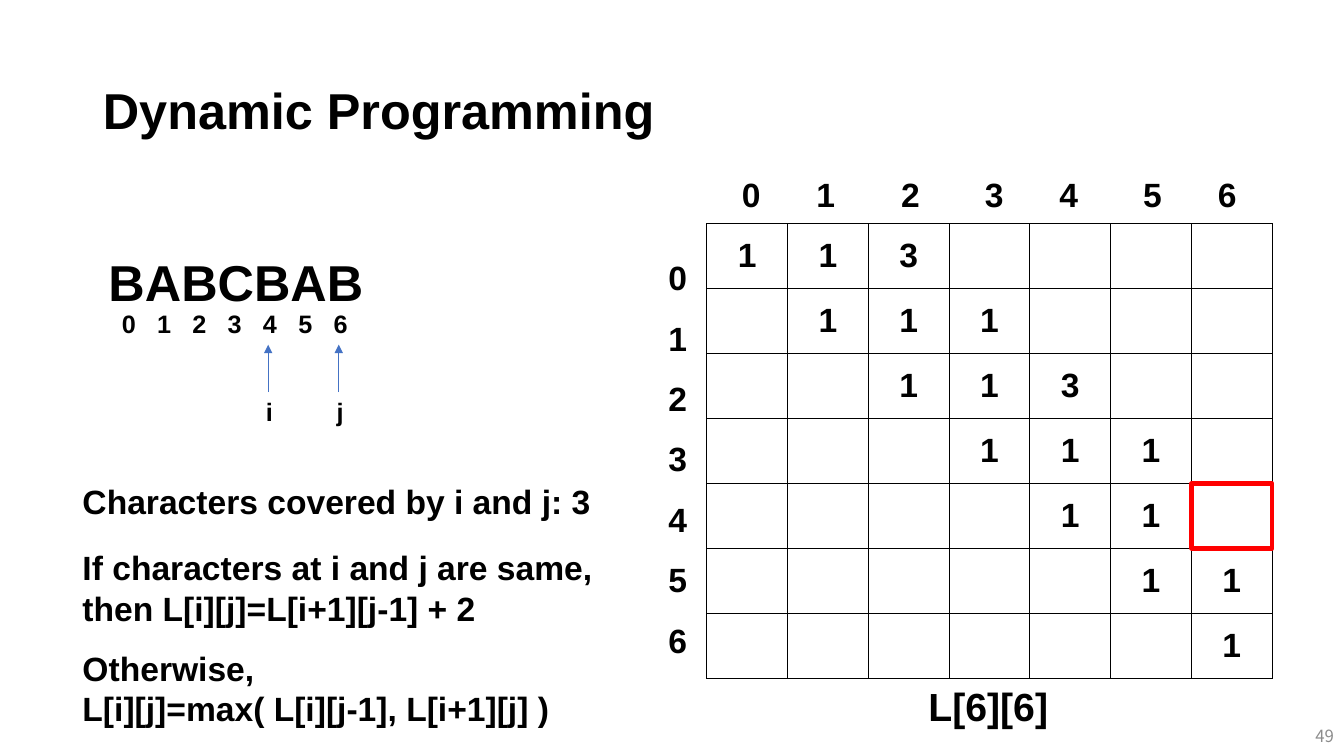
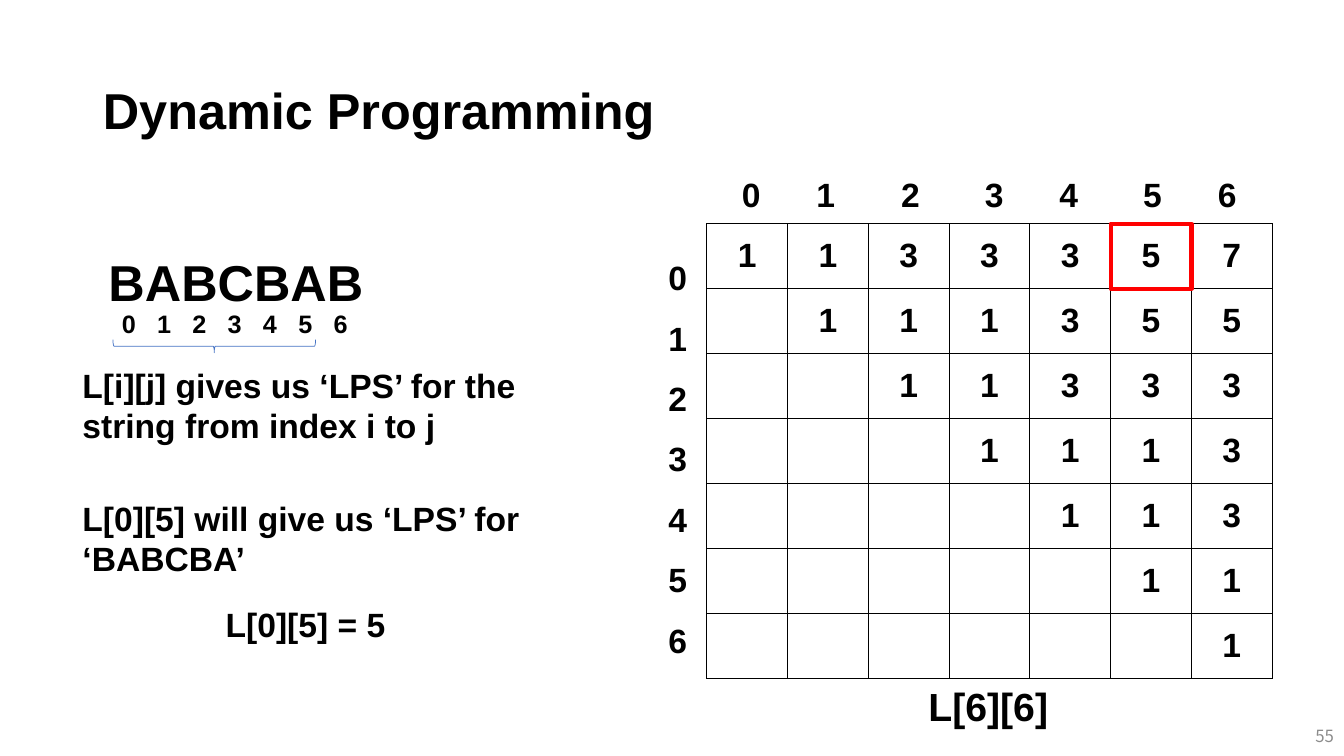
from lxml import etree
from pptx import Presentation
from pptx.dml.color import RGBColor
from pptx.enum import shapes, text
from pptx.oxml import ns
from pptx.util import Inches, Pt

BLACK, GRAY, BLUE, RED = "000000", "8C8C8C", "4472C4", "FF0000"
FONT, NUMBER_FONT = "Arial", "Noto Sans CJK KR"
SIZE = 7
GRID_X, GRID_Y = 7.01, 2.22
CELL_W, CELL_H = 5.61 / SIZE, 4.51 / SIZE
INDEX_STEP = 0.35
COLUMN_TABS = [0.74, 1.58, 2.41, 3.15, 3.98, 4.72]
INDEXES = [str(n) for n in range(SIZE)]
NOTE_X, NOTE_W = 0.72, 5.27

PARTIAL_LENGTHS = [[1, 1, 3], [1, 1, 1], [1, 1, 3], [1, 1, 1], [1, 1], [1, 1], [1]]
FULL_LENGTHS = [[1, 1, 3, 3, 3, 5, 7], [1, 1, 1, 3, 5, 5], [1, 1, 3, 3, 3],
                [1, 1, 1, 3], [1, 1, 3], [1, 1], [1]]


def rgb(value):
    """Turn a hex string into a colour."""
    return RGBColor.from_string(value)


def box(left, top, width, height):
    """Turn four numbers into lengths in inches."""
    return [Inches(n) for n in (left, top, width, height)]


def add_xml(parent, tag, **attributes):
    """Append a drawing element to a parent and return it."""
    return etree.SubElement(parent, ns.qn(tag), attributes)


def style(paragraph, size, align="LEFT", spacing=None, name=FONT, color=BLACK, bold=True):
    """Format a whole paragraph."""
    paragraph.alignment = getattr(text.PP_ALIGN, align)
    if spacing:
        paragraph.line_spacing = spacing
    font = paragraph.font
    font.name, font.size, font.bold = name, Pt(size), bold
    font.color.rgb = rgb(color)


def add_text(slide, place, lines, size, tabs=(), anchor="TOP", **look):
    """Add a text box with one paragraph per line."""
    frame = slide.shapes.add_textbox(*box(*place)).text_frame
    frame.word_wrap = True
    frame.vertical_anchor = getattr(text.MSO_ANCHOR, anchor)
    for number, line in enumerate(lines):
        paragraph = frame.add_paragraph() if number else frame.paragraphs[0]
        paragraph.text = line
        if tabs:
            stops = add_xml(paragraph._p.get_or_add_pPr(), "a:tabLst")
            for stop in tabs:
                add_xml(stops, "a:tab", pos=str(Inches(stop)), algn="l")
        style(paragraph, size, **look)


def add_note(slide, top, *lines):
    """Add an explanation in the left column."""
    add_text(slide, (NOTE_X, top, NOTE_W, 0.41 * len(lines) + 0.09), lines, 24)


def add_outline(slide, kind, place, color, width):
    """Add an unfilled shape with a coloured outline."""
    outline = slide.shapes.add_shape(kind, *box(*place))
    outline.shadow.inherit = False
    outline.fill.background()
    outline.line.color.rgb = rgb(color)
    outline.line.width = Pt(width)
    return outline


def add_pointer(slide, x):
    """Add an arrow pointing up at a character index."""
    pointer = slide.shapes.add_connector(
        shapes.MSO_CONNECTOR.STRAIGHT, Inches(x), Inches(3.89), Inches(x), Inches(3.42))
    pointer.line.color.rgb = rgb(BLUE)
    pointer.line.width = Pt(0.5)
    add_xml(pointer.line._get_or_add_ln(), "a:tailEnd", type="triangle")
    add_xml(pointer._element.spPr, "a:effectLst")


def format_cell(cell):
    """Clear the fill of a cell and border it in black."""
    cell.vertical_anchor = text.MSO_ANCHOR.MIDDLE
    properties = cell._tc.get_or_add_tcPr()
    for side in ("a:lnL", "a:lnR", "a:lnT", "a:lnB"):
        border = add_xml(properties, side, w=str(Pt(1)))
        add_xml(add_xml(border, "a:solidFill"), "a:srgbClr", val=BLACK)
    cell.fill.background()


def add_grid(slide, lengths):
    """Add the table, each row of values starting on the diagonal."""
    grid = slide.shapes.add_table(
        SIZE, SIZE, *box(GRID_X, GRID_Y, CELL_W * SIZE, CELL_H * SIZE)).table
    grid.first_row = grid.horz_banding = False
    for cell in grid.iter_cells():
        format_cell(cell)
    for row, values in enumerate(lengths):
        for column, value in enumerate(values, row):
            cell = grid.cell(row, column)
            cell.text = str(value)
            style(cell.text_frame.paragraphs[0], 24, "CENTER")


def add_base(prs, number, lengths, row, column):
    """Add a slide with title, string, labelled grid and marked cell."""
    slide = prs.slides.add_slide(prs.slide_layouts.get_by_name("Title Only"))
    title = slide.shapes.title
    title.left, title.top, title.width, title.height = box(0.92, 0.4, 11.5, 1.45)
    title.text_frame.text = "Dynamic Programming"
    title.text_frame.vertical_anchor = text.MSO_ANCHOR.MIDDLE
    style(title.text_frame.paragraphs[0], 36, spacing=0.9)

    add_text(slide, (10.33, 7.1, 3, 0.4), [number], 12, anchor="MIDDLE", align="RIGHT",
             name=NUMBER_FONT, color=GRAY, bold=False)
    add_text(slide, (0.92, 2.51, 2.84, 1.45), ["BABCBAB"], 36, align="CENTER", spacing=0.9)
    add_text(slide, (1.11, 3.01, 2.45, 0.4), ["\t".join(INDEXES)], 18,
             tabs=[INDEX_STEP * n for n in range(1, SIZE)])
    add_grid(slide, lengths)
    add_text(slide, (7.26, 1.68, 5.14, 0.5), ["\t".join(INDEXES)], 24, tabs=COLUMN_TABS)
    add_text(slide, (6.53, 2.3, 0.39, 4.27), INDEXES, 24, spacing=1.5)
    add_text(slide, (9.11, 6.72, 1.41, 0.57), ["L[6][6]"], 28)
    add_outline(slide, shapes.MSO_SHAPE.RECTANGLE,
                (GRID_X + column * CELL_W, GRID_Y + row * CELL_H, CELL_W, CELL_H), RED, 3)
    return slide


def add_recurrence(prs):
    """Add the slide that explains how a cell is filled."""
    slide = add_base(prs, "49", PARTIAL_LENGTHS, 4, 6)
    add_note(slide, 4.72, "Characters covered by i and j: 3")
    add_note(slide, 5.38, "If characters at i and j are same,", "then L[i][j]=L[i+1][j-1] + 2")
    add_note(slide, 6.38, "Otherwise,", "L[i][j]=max( L[i][j-1], L[i+1][j] )")
    for x in (2.66, 2.66 + 2 * INDEX_STEP):
        add_pointer(slide, x)
    add_text(slide, (2.54, 3.88, 0.97, 0.4), ["i\tj"], 18, tabs=[2 * INDEX_STEP])


def add_lookup(prs):
    """Add the slide that reads a result from the full grid."""
    slide = add_base(prs, "55", FULL_LENGTHS, 0, 5)
    add_note(slide, 3.57, "L[i][j] gives us ‘LPS’ for the string from index i to j")
    add_note(slide, 4.89, "L[0][5] will give us ‘LPS’ for ‘BABCBA’")
    add_text(slide, (2.06, 5.94, 1.94, 0.5), ["L[0][5] = 5"], 24, align="CENTER")
    brace = add_outline(slide, shapes.MSO_SHAPE.RIGHT_BRACE, (2.06, 2.43, 0.13, 2.01), BLUE, 0.5)
    brace.rotation = 90


def main():
    """Build and save the slides."""
    prs = Presentation()
    prs.slide_width, prs.slide_height = Inches(13.33), Inches(7.5)
    add_recurrence(prs)
    add_lookup(prs)
    prs.save("out.pptx")


if __name__ == "__main__":
    main()
